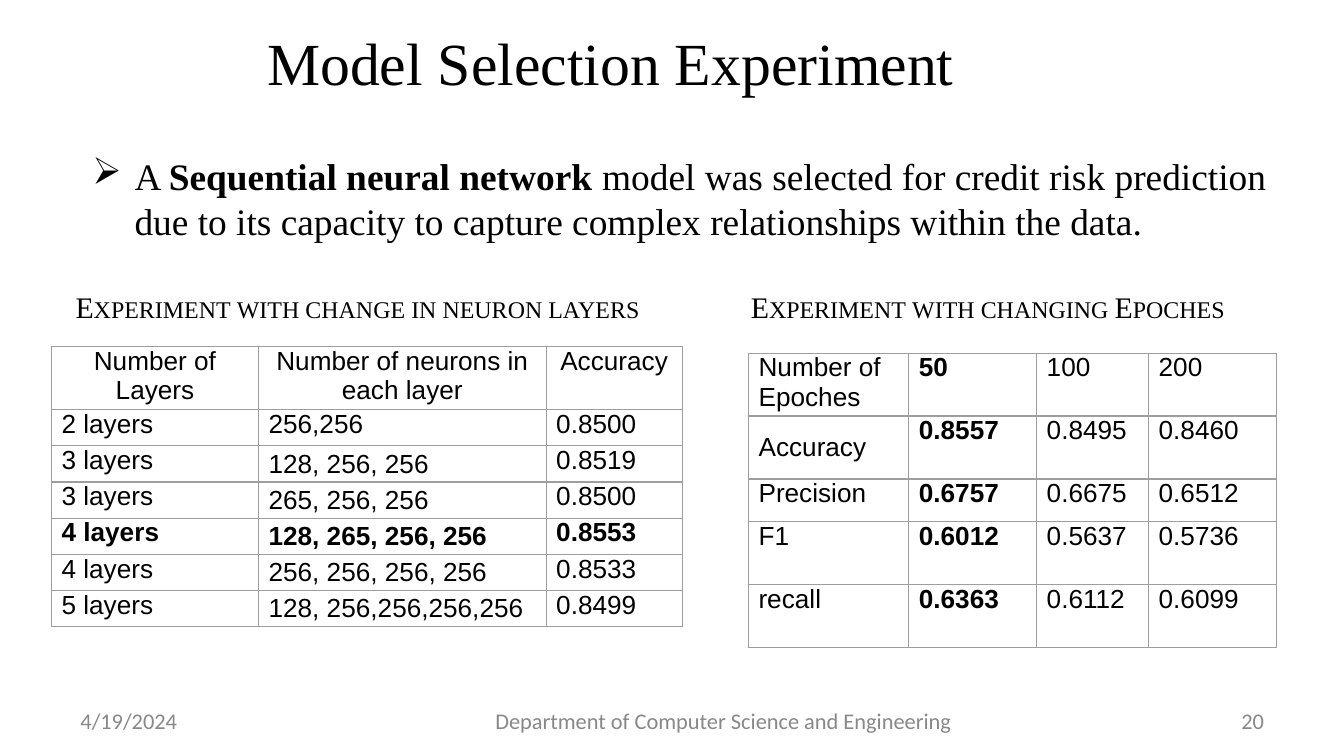
from lxml import etree
from pptx import Presentation
from pptx.dml.color import RGBColor
from pptx.enum.text import MSO_ANCHOR, MSO_AUTO_SIZE, PP_ALIGN
from pptx.oxml.ns import qn
from pptx.util import Pt

BLACK = RGBColor(0x00, 0x00, 0x00)
GRAY = RGBColor(0x88, 0x88, 0x88)
BORDER = RGBColor(0x9E, 0x9E, 0x9E)
SERIF, SANS, FOOTER_FONT = "Times New Roman", "Arial", "Calibri"
LEFT, CENTER, RIGHT = PP_ALIGN.LEFT, PP_ALIGN.CENTER, PP_ALIGN.RIGHT
TOP, MIDDLE = MSO_ANCHOR.TOP, MSO_ANCHOR.MIDDLE
NO_FIT = MSO_AUTO_SIZE.NONE
TITLE_ONLY = 5


class SlideBuilder:
    """Holds the current slide and draws its elements in one style."""

    def __init__(self, slide):
        self.slide = slide

    def style(self, paragraph, font, size, color=BLACK, align=LEFT, bold=False):
        paragraph.alignment = align
        paragraph.font.name = font
        paragraph.font.size = Pt(size)
        paragraph.font.color.rgb = color
        paragraph.font.bold = bold

    def title(self, text, left, top, width, height):
        title = self.slide.shapes.title
        title.left, title.top = Pt(left), Pt(top)
        title.width, title.height = Pt(width), Pt(height)
        frame = title.text_frame
        frame.text = text
        frame.auto_size = NO_FIT
        frame.vertical_anchor = MIDDLE
        self.style(frame.paragraphs[0], SERIF, 32, align=CENTER)

    def text(self, text, left, top, width, height, font, size,
             color=BLACK, align=LEFT, anchor=TOP):
        box = self.slide.shapes.add_textbox(Pt(left), Pt(top), Pt(width), Pt(height))
        frame = box.text_frame
        frame.word_wrap = True
        frame.vertical_anchor = anchor
        paragraph = frame.paragraphs[0]
        if text:
            paragraph.add_run().text = text
        self.style(paragraph, font, size, color, align)
        return paragraph

    def footer(self, text, left, width, align):
        self.text(text, left, 375, width, 21.6, FOOTER_FONT, 12, GRAY, align, MIDDLE)

    def bullet(self, runs, left, top, width, height):
        paragraph = self.text("", left, top, width, height, SERIF, 20)
        for text, bold in runs:
            run = paragraph.add_run()
            run.text = text
            run.font.bold = bold
        properties = paragraph._p.get_or_add_pPr()
        properties.set("marL", str(Pt(22.5)))
        properties.set("indent", str(-Pt(22.5)))
        mark = etree.Element(qn("a:buChar"), char="➢")
        properties.find(qn("a:defRPr")).addprevious(mark)

    def caption(self, text, left):
        paragraph = self.text(text, left, 153.4, 360, 24.5, SERIF, 16, align=CENTER)
        paragraph.line_spacing = 0.9
        paragraph.space_before, paragraph.space_after = Pt(12), Pt(6)
        paragraph.runs[0]._r.get_or_add_rPr().set("cap", "small")

    def cell_borders(self, cell):
        properties = cell._tc.get_or_add_tcPr()
        for index, side in enumerate(("lnL", "lnR", "lnT", "lnB")):
            line = etree.Element(qn("a:" + side), w=str(Pt(0.75)))
            fill = etree.SubElement(line, qn("a:solidFill"))
            etree.SubElement(fill, qn("a:srgbClr"), val=str(BORDER))
            properties.insert(index, line)

    def table(self, rows, left, top, widths, heights,
              bold_row=None, bold_column=None, centered_header=False, middle=()):
        table = self.slide.shapes.add_table(
            len(rows), len(widths), Pt(left), Pt(top),
            Pt(sum(widths)), Pt(sum(heights))).table
        table.first_row = table.horz_banding = False
        for column, width in zip(table.columns, widths):
            column.width = Pt(width)
        for r, (values, height) in enumerate(zip(rows, heights)):
            table.rows[r].height = Pt(height)
            for c, value in enumerate(values):
                cell = table.cell(r, c)
                cell.text = value
                cell.fill.background()
                cell.margin_left = cell.margin_right = Pt(5.4)
                cell.margin_top = cell.margin_bottom = 0
                cell.vertical_anchor = MIDDLE if (r, c) in middle else TOP
                align = CENTER if centered_header and r == 0 else LEFT
                self.style(cell.text_frame.paragraphs[0], SANS, 14, align=align,
                           bold=r == bold_row or c == bold_column)
                self.cell_borders(cell)


LAYER_RESULTS = [
    ("Number of Layers", "Number of neurons in each layer", "Accuracy"),
    ("2 layers", "256,256", "0.8500"),
    ("3 layers", "128, 256, 256", "0.8519"),
    ("3 layers", "265, 256, 256", "0.8500"),
    ("4 layers", "128, 265, 256, 256", "0.8553"),
    ("4 layers", "256, 256, 256, 256", "0.8533"),
    ("5 layers", "128, 256,256,256,256", "0.8499"),
]
EPOCH_RESULTS = [
    ("Number of Epoches", "50", "100", "200"),
    ("Accuracy", "0.8557", "0.8495", "0.8460"),
    ("Precision", "0.6757", "0.6675", "0.6512"),
    ("F1", "0.6012", "0.5637", "0.5736"),
    ("recall", "0.6363", "0.6112", "0.6099"),
]


def main():
    presentation = Presentation()
    presentation.slide_width, presentation.slide_height = Pt(720), Pt(405)
    layout = presentation.slide_layouts[TITLE_ONLY]
    builder = SlideBuilder(presentation.slides.add_slide(layout))

    # Title and key statement
    builder.title("Model Selection Experiment", 86.4, 8, 481.7, 49.7)
    builder.bullet([
        ("A ", False),
        ("Sequential neural network ", True),
        ("model was selected for credit risk prediction due to its capacity "
         "to capture complex relationships within the data.", False),
    ], 42.5, 78.5, 669.6, 55.4)

    # Results by neuron layers
    builder.caption("Experiment with change in neuron layers", 11.5)
    builder.table(LAYER_RESULTS, 27.6, 185.8, [110.9, 154.1, 72.9],
                  [33.2] + [19.4] * 6, bold_row=4, centered_header=True,
                  middle=[(r, 1) for r in range(2, 7)])

    # Results by epochs
    builder.caption("Experiment with changing Epoches", 349.2)
    builder.table(EPOCH_RESULTS, 401, 189.2, [85.9, 68.5, 60, 68.5],
                  [33.7, 33.7, 23, 33.7, 33.7], bold_column=1, middle=[(1, 0)])

    # Footer: date, department, slide number
    builder.footer("4/19/2024", 36, 168, LEFT)
    builder.footer("Department of Computer Science and Engineering", 246.2, 283, CENTER)
    builder.footer("20", 516.2, 168, RIGHT)

    presentation.save("out.pptx")


if __name__ == "__main__":
    main()
